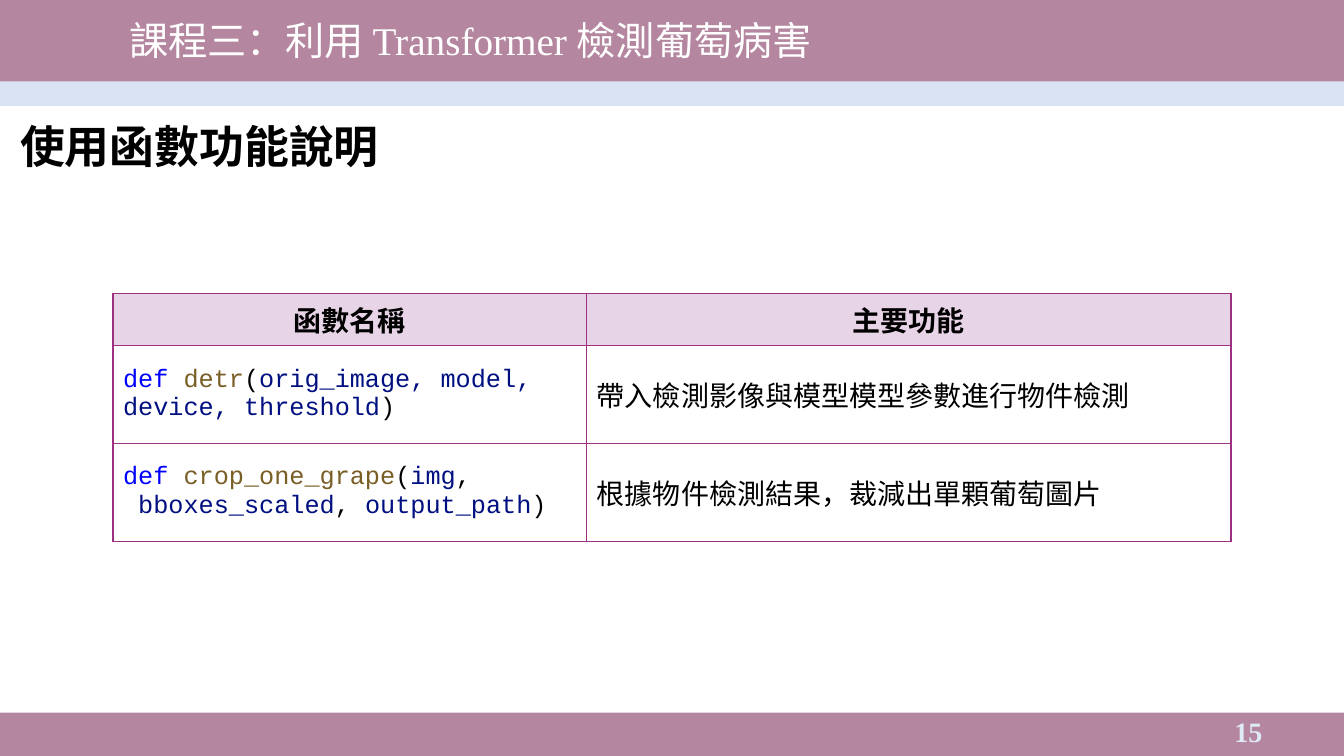
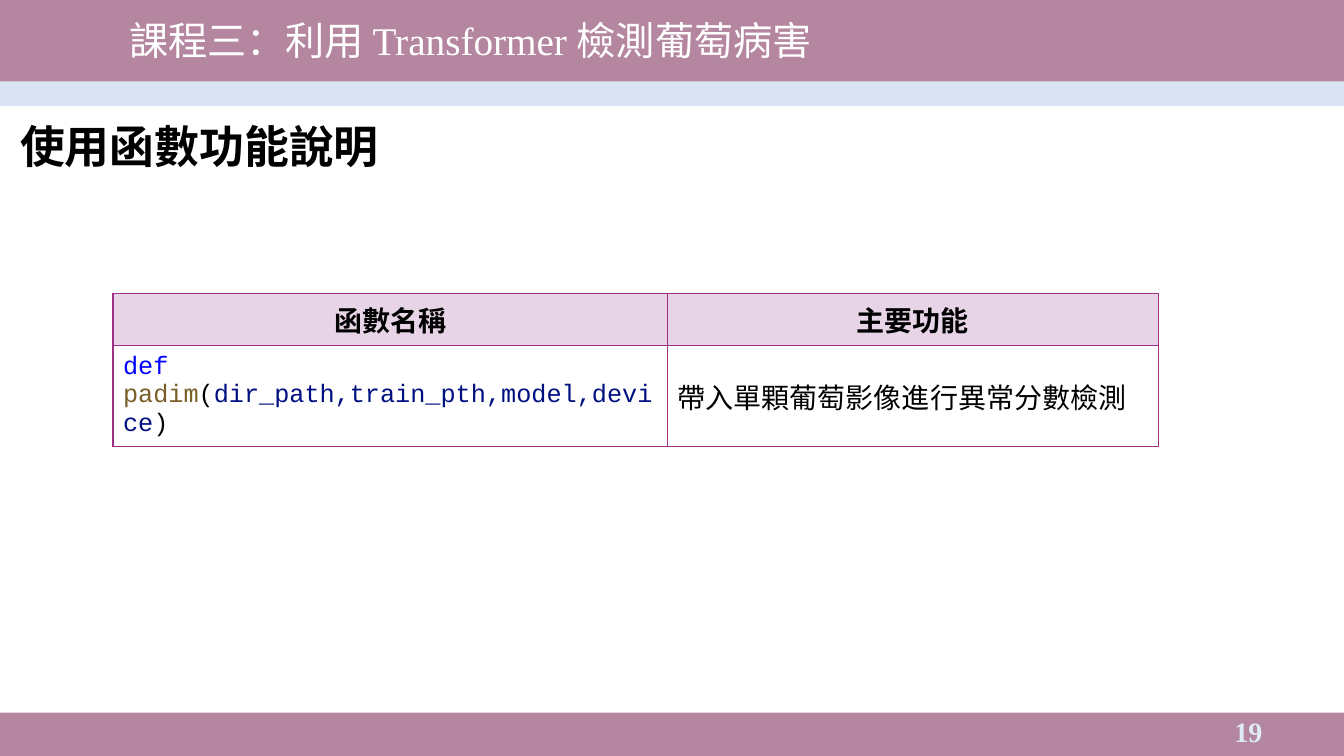
"""Build two slides that list functions and what each one does."""
import dataclasses
import typing

import lxml.etree
import pptx
import pptx.dml.color
import pptx.enum.shapes
import pptx.enum.text
import pptx.oxml.ns
import pptx.slide
import pptx.table
import pptx.text.text
import pptx.util

Inches = pptx.util.Inches
Pt = pptx.util.Pt
Align = pptx.enum.text.PP_ALIGN
Middle = pptx.enum.text.MSO_ANCHOR.MIDDLE
qn = pptx.oxml.ns.qn

COLORS = {
    "band": "B4869F", "strip": "DAE3F3", "head": "E8D4E7", "edge": "9D3082",
    "white": "FFFFFF", "black": "000000", "page": "DEEBF7",
    "key": "0000FF", "name": "795E26", "arg": "001080",
}
SERIF = "Times New Roman"
TITLE = {"name": SERIF, "size": Pt(32), "bold": True}
LESSON = {"name": SERIF, "size": Pt(28), "bold": False}
STRONG = {"name": SERIF, "size": Pt(20), "bold": True}
PLAIN = {"name": SERIF, "size": Pt(20), "bold": False}
CODE = {"name": "Courier New", "size": Pt(18), "bold": False}
HEADS = ("函數名稱", "主要功能")


class Box(typing.NamedTuple):
    left: float
    top: float
    width: float
    height: float

    def size(self) -> tuple:
        return tuple(Inches(side) for side in self)


class Part(typing.NamedTuple):
    text: str
    color: str


class Band(typing.NamedTuple):
    box: Box
    color: str


@dataclasses.dataclass
class Entry:
    code: list[Part]
    use: str


@dataclasses.dataclass
class Page:
    number: int
    widths: tuple[float, float]
    rows: list[Entry]


BANDS = [
    Band(Box(0, 0, 13.33, 0.81), "band"),
    Band(Box(0, 7.07, 13.33, 0.44), "band"),
    Band(Box(-0.01, 0.81, 13.35, 0.24), "strip"),
]

PAGES = [
    Page(15, (4.7, 6.39), [
        Entry([Part("def ", "key"), Part("detr", "name"), Part("(", "black"),
               Part("orig_image, model, \ndevice, threshold", "arg"),
               Part(")", "black")],
              "帶入檢測影像與模型模型參數進行物件檢測"),
        Entry([Part("def ", "key"), Part("crop_one_grape", "name"),
               Part("(", "black"), Part("img", "arg"), Part(",\n ", "black"),
               Part("bboxes_scaled", "arg"), Part(", ", "black"),
               Part("output_path", "arg"), Part(")", "black")],
              "根據物件檢測結果，裁減出單顆葡萄圖片"),
    ]),
    Page(19, (5.5, 4.87), [
        Entry([Part("def ", "key"), Part("padim", "name"), Part("(", "black"),
               Part("dir_path,train_pth,model,device", "arg"),
               Part(")", "black")],
              "帶入單顆葡萄影像進行異常分數檢測"),
    ]),
]


def tint(color: str) -> pptx.dml.color.RGBColor:
    return pptx.dml.color.RGBColor.from_string(COLORS[color])


def write(para: pptx.text.text._Paragraph, parts: list[Part], form: dict) -> None:
    for part in parts:
        for index, line in enumerate(part.text.split("\n")):
            if index:
                para.add_line_break()
            run = para.add_run()
            run.text = line
            for key, value in form.items():
                setattr(run.font, key, value)
            run.font.color.rgb = tint(part.color)


def fill_holder(holder, box: Box, part: Part, form: dict) -> None:
    holder.left, holder.top, holder.width, holder.height = box.size()
    frame = holder.text_frame
    frame.auto_size = pptx.enum.text.MSO_AUTO_SIZE.NONE
    frame.vertical_anchor = Middle
    para = frame.paragraphs[0]
    props = para._p.get_or_add_pPr()
    props.set("marL", "0")
    props.set("indent", "0")
    lxml.etree.SubElement(props, qn("a:buNone"))
    para.alignment = Align.LEFT
    para.line_spacing = 0.9
    para.space_before = Pt(0)
    write(para, [part], form)


def add_bands(slide: pptx.slide.Slide) -> None:
    first = slide.slide_layout.placeholders[0].element
    for index, band in enumerate(BANDS):
        shape = slide.shapes.add_shape(
            pptx.enum.shapes.MSO_SHAPE.RECTANGLE, *band.box.size())
        shape.shadow.inherit = False
        shape.fill.solid()
        shape.fill.fore_color.rgb = tint(band.color)
        shape.line.fill.background()
        shape.element.nvSpPr.cNvPr.set("id", str(20 + index))
        first.addprevious(shape.element)


def add_edges(cell: pptx.table._Cell) -> None:
    props = cell._tc.get_or_add_tcPr()
    for side in ("lnL", "lnR", "lnT", "lnB"):
        line = lxml.etree.SubElement(props, qn(f"a:{side}"), w=str(Pt(1)))
        fill = lxml.etree.SubElement(line, qn("a:solidFill"))
        lxml.etree.SubElement(fill, qn("a:srgbClr"), val=COLORS["edge"])


def set_cell(cell: pptx.table._Cell, parts: list[Part], form: dict,
             color: str = "white", align: Align = Align.LEFT) -> None:
    add_edges(cell)
    cell.fill.solid()
    cell.fill.fore_color.rgb = tint(color)
    cell.vertical_anchor = Middle
    para = cell.text_frame.paragraphs[0]
    para.alignment = align
    write(para, parts, form)


def add_grid(slide: pptx.slide.Slide, page: Page) -> None:
    highs = [0.52] + [0.97] * len(page.rows)
    box = Box(1.12, 2.91, sum(page.widths), sum(highs))
    grid = slide.shapes.add_table(len(highs), len(HEADS), *box.size()).table
    grid.first_row = grid.horz_banding = False
    for column, width in zip(grid.columns, page.widths):
        column.width = Inches(width)
    for row, high in zip(grid.rows, highs):
        row.height = Inches(high)
    for index, head in enumerate(HEADS):
        set_cell(grid.cell(0, index), [Part(head, "black")], STRONG,
                 "head", Align.CENTER)
    for index, entry in enumerate(page.rows, 1):
        set_cell(grid.cell(index, 0), entry.code, CODE)
        set_cell(grid.cell(index, 1), [Part(entry.use, "black")], PLAIN)


def add_number(slide: pptx.slide.Slide, number: int) -> None:
    frame = slide.shapes.add_textbox(*Box(9.62, 7.06, 3, 0.4).size()).text_frame
    frame.word_wrap = True
    frame.vertical_anchor = Middle
    para = frame.paragraphs[0]
    para.alignment = Align.RIGHT
    write(para, [Part(str(number), "page")], STRONG)


def main() -> None:
    deck = pptx.Presentation()
    deck.slide_width, deck.slide_height = Inches(13.33), Inches(7.5)
    for index, page in enumerate(PAGES):
        slide = deck.slides.add_slide(deck.slide_layouts[1])
        if index == 0:
            add_bands(slide)
        fill_holder(slide.shapes.title, Box(0.1, 1.16, 10.76, 0.63),
                    Part("使用函數功能說明", "black"), TITLE)
        fill_holder(slide.placeholders[1], Box(1.18, 0.11, 10.76, 0.63),
                    Part("課程三：利用 Transformer 檢測葡萄病害", "white"), LESSON)
        add_number(slide, page.number)
        add_grid(slide, page)
    deck.save("out.pptx")


if __name__ == "__main__":
    main()
